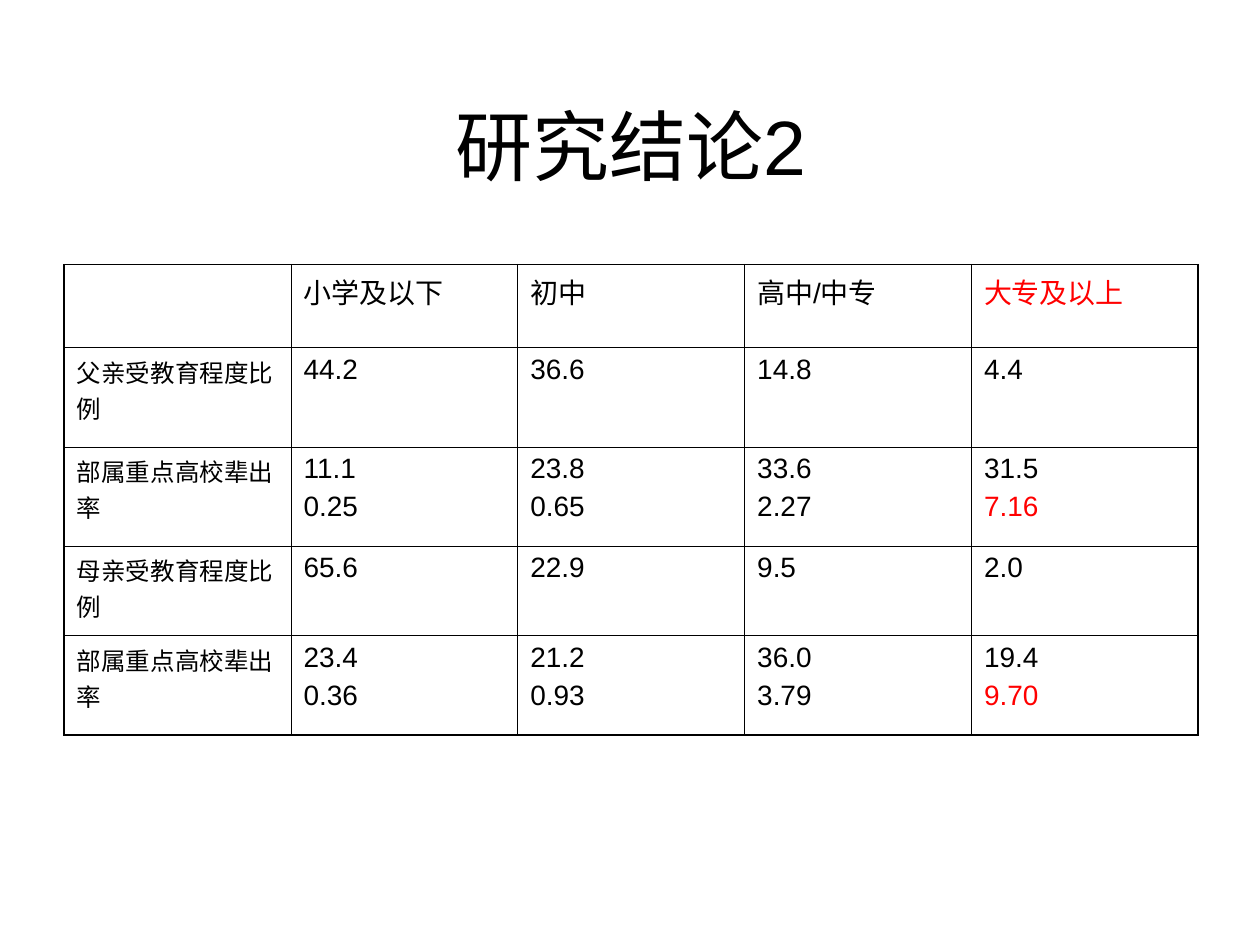
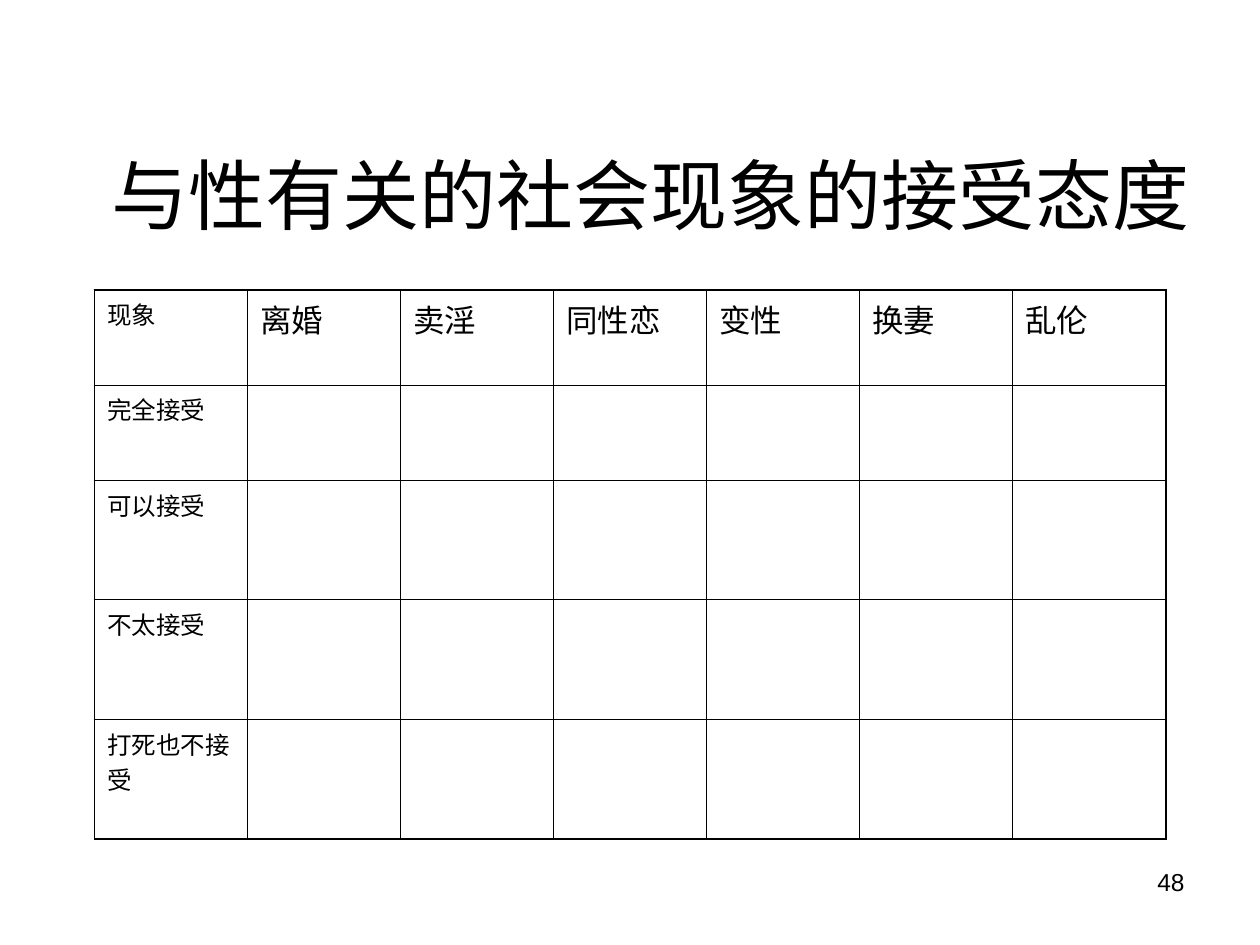
from lxml import etree
from pptx import Presentation
from pptx.dml.color import RGBColor
from pptx.enum.text import MSO_ANCHOR, PP_ALIGN
from pptx.oxml.ns import qn
from pptx.util import Pt

CENTER, RIGHT = PP_ALIGN.CENTER, PP_ALIGN.RIGHT
TOP, MIDDLE = MSO_ANCHOR.TOP, MSO_ANCHOR.MIDDLE
FONT = "Arial"
BLACK, RED = "000000", "FF0000"
TITLE_SIZE, LABEL_SIZE, PAGE_NUMBER_SIZE = 44, 14, 14
OUTER_LINE, INNER_LINE = 1.08, 0.45
BLANK_LAYOUT = 6

SLIDES = [
    {
        "title": "研究结论2",
        "title_position": (36.7, 37.4),
        "table_position": (36.7, 151.2),
        "column_width": 129.6,
        "row_heights": (47.5, 56.7, 56.7, 51.1, 56.7),
        "text_size": 16,
        "red_texts": {"大专及以上", "7.16", "9.70"},
        "rows": [
            ("", "小学及以下", "初中", "高中/中专", "大专及以上"),
            ("父亲受教育程度比例", "44.2", "36.6", "14.8", "4.4"),
            ("部属重点高校辈出率", "11.1\n0.25", "23.8\n0.65", "33.6\n2.27", "31.5\n7.16"),
            ("母亲受教育程度比例", "65.6", "22.9", "9.5", "2.0"),
            ("部属重点高校辈出率", "23.4\n0.36", "21.2\n0.93", "36.0\n3.79", "19.4\n9.70"),
        ],
    },
    {
        "title": "与性有关的社会现象的接受态度",
        "title_position": (48.2, 65.5),
        "table_position": (54, 165.6),
        "column_width": 87.45,
        "row_heights": (54.4, 54.4, 68.3, 68.3, 68.3),
        "text_size": 18,
        "red_texts": set(),
        "rows": [
            ("现象", "离婚", "卖淫", "同性恋", "变性", "换妻", "乱伦"),
            ("完全接受",) + ("",) * 6,
            ("可以接受",) + ("",) * 6,
            ("不太接受",) + ("",) * 6,
            ("打死也不接受",) + ("",) * 6,
        ],
        "page_number": "48",
    },
]


def format_font(font, size, color=BLACK):
    font.name = FONT
    font.size = Pt(size)
    font.color.rgb = RGBColor.from_string(color)


def add_text(slide, text, box, size, alignment, anchor):
    shape = slide.shapes.add_textbox(*(Pt(length) for length in box))
    text_frame = shape.text_frame
    text_frame.word_wrap = True
    text_frame.vertical_anchor = anchor
    text_frame.text = text
    paragraph = text_frame.paragraphs[0]
    paragraph.alignment = alignment
    format_font(paragraph.runs[0].font, size)


presentation = Presentation()
presentation.slide_width = Pt(720)
presentation.slide_height = Pt(540)

for content in SLIDES:
    slide = presentation.slides.add_slide(presentation.slide_layouts[BLANK_LAYOUT])
    add_text(slide, content["title"], (*content["title_position"], 648, 90),
             TITLE_SIZE, CENTER, MIDDLE)

    rows = content["rows"]
    last_row, last_column = len(rows) - 1, len(rows[0]) - 1
    left, top = content["table_position"]
    width = content["column_width"] * len(rows[0])
    table = slide.shapes.add_table(
        len(rows), len(rows[0]), Pt(left), Pt(top),
        Pt(width), Pt(sum(content["row_heights"]))).table
    table.first_row = table.horz_banding = False
    for column in table.columns:
        column.width = Pt(content["column_width"])

    for row_index, texts in enumerate(rows):
        table.rows[row_index].height = Pt(content["row_heights"][row_index])
        for column_index, text in enumerate(texts):
            cell = table.cell(row_index, column_index)
            cell.margin_left = cell.margin_right = Pt(7.2)
            cell.margin_top = cell.margin_bottom = Pt(3.6)

            is_outer = {
                "a:lnL": column_index == 0,
                "a:lnR": column_index == last_column,
                "a:lnT": row_index == 0,
                "a:lnB": row_index == last_row,
            }
            properties = cell._tc.get_or_add_tcPr()
            for tag, outer in is_outer.items():
                line = etree.SubElement(properties, qn(tag))
                line.set("w", str(Pt(OUTER_LINE if outer else INNER_LINE)))
                fill = etree.SubElement(line, qn("a:solidFill"))
                etree.SubElement(fill, qn("a:srgbClr")).set("val", BLACK)
            cell.fill.background()

            cell.text_frame.text = text
            size = LABEL_SIZE if column_index == 0 else content["text_size"]
            for index, paragraph in enumerate(cell.text_frame.paragraphs):
                if index > 0:
                    paragraph.space_before = Pt(size / 4)
                for run in paragraph.runs:
                    color = RED if run.text in content["red_texts"] else BLACK
                    format_font(run.font, size, color)

    if "page_number" in content:
        add_text(slide, content["page_number"], (516.2, 491.8, 167.8, 37.4),
                 PAGE_NUMBER_SIZE, RIGHT, TOP)

presentation.save("out.pptx")
